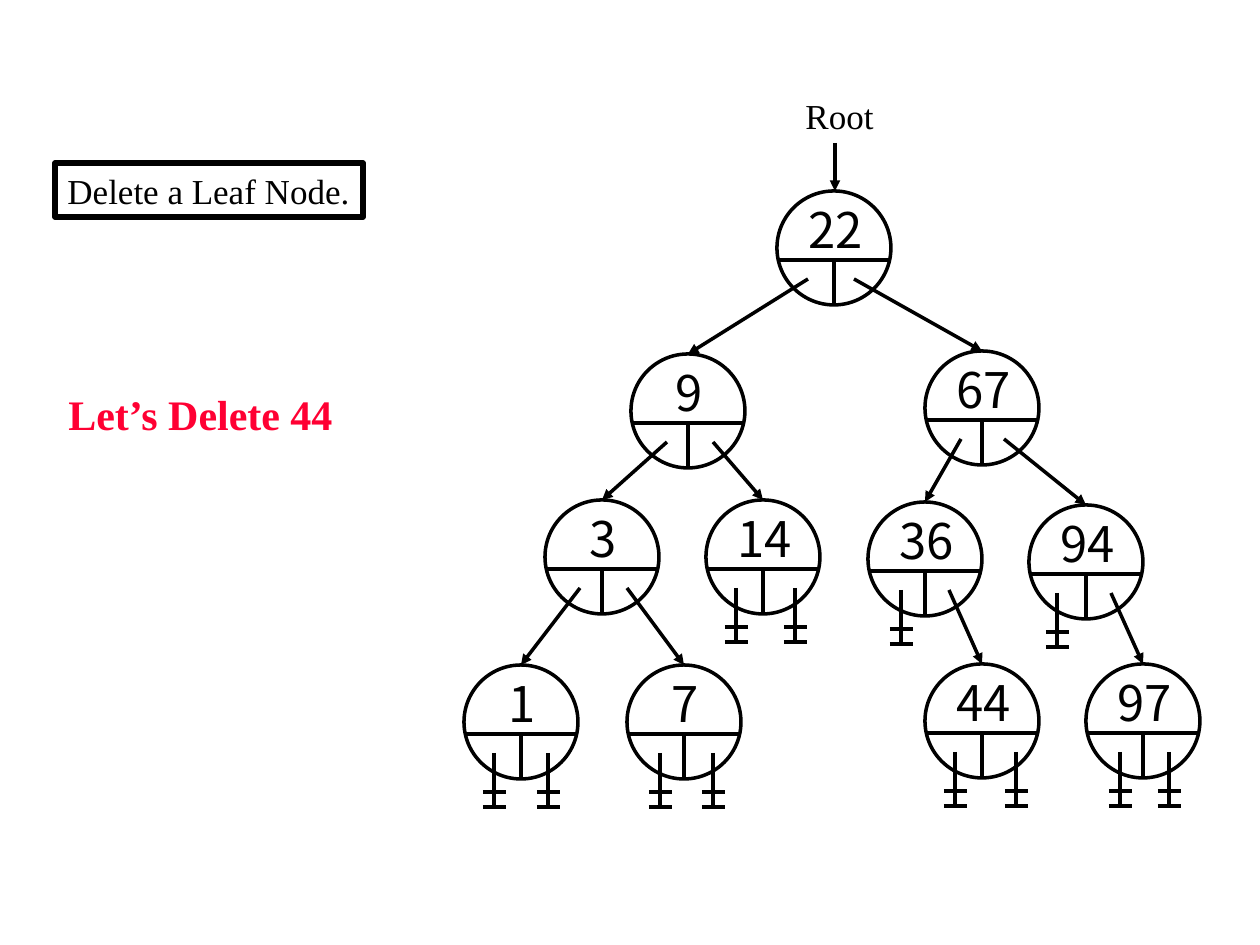
from typing import NamedTuple

from lxml.etree import SubElement
from pptx import Presentation
from pptx.dml.color import RGBColor
from pptx.enum.shapes import MSO_CONNECTOR as CONN, MSO_SHAPE as SHAPE
from pptx.enum.text import MSO_ANCHOR as ANCHOR, PP_ALIGN as ALIGN
from pptx.oxml.ns import qn
from pptx.util import Emu, Pt

PX = 914400 / 126
BLACK, RED = "000000", "FF0033"
SERIF, SANS = "Times New Roman", "Noto Sans CJK KR"
DIAMETER, DIVIDER, PORT_Y = 114, 69, 88


class Node(NamedTuple):
    """Position, children (None for a null link) and link start offsets."""
    x: int
    y: int
    left: int | None
    right: int | None
    left_port: int
    right_port: int


TREE = {
    22: Node(313, 103, 9, 67, 31, 77),
    9: Node(167, 266, 3, 14, 36, 82),
    67: Node(461, 263, 36, 94, 36, 79),
    3: Node(81, 412, 1, 7, 35, 82),
    14: Node(242, 412, None, None, 30, 89),
    36: Node(404, 414, None, 44, 33, 81),
    94: Node(565, 417, None, 97, 28, 82),
    1: Node(0, 577, None, None, 30, 84),
    7: Node(163, 577, None, None, 33, 86),
    44: Node(461, 576, None, None, 30, 91),
    97: Node(622, 576, None, None, 34, 83),
}


def px(*values):
    """Turn pixel lengths into EMU."""
    return [Emu(round(v * PX)) for v in values]


def color(value):
    """Turn a hex string into a colour."""
    return RGBColor.from_string(value)


def line(shapes, x1, y1, x2, y2, arrow=False):
    """Draw a straight line, with an arrowhead at its end if wanted."""
    s = shapes.add_connector(CONN.STRAIGHT, *px(x1, y1, x2, y2))
    s.line.color.rgb = color(BLACK)
    s.line.width = Pt(2)
    if arrow:
        SubElement(s.line._get_or_add_ln(), qn("a:tailEnd"), type="triangle")
    SubElement(s._element.spPr, qn("a:effectLst"))


def outline(shapes, kind, x, y, w, h, width):
    """Draw an unfilled shape with a black outline."""
    s = shapes.add_shape(kind, *px(x, y, w, h))
    s.shadow.inherit = False
    s.fill.background()
    s.line.color.rgb = color(BLACK)
    s.line.width = Pt(width)
    return s


def write(s, text, size, face, fill=BLACK, bold=False, align=ALIGN.LEFT):
    """Put one unwrapped line of text into a shape."""
    tf = s.text_frame
    tf.word_wrap = False
    tf.vertical_anchor = ANCHOR.TOP
    p = tf.paragraphs[0]
    p.text = text
    p.alignment = align
    p.font.size = Pt(size)
    p.font.name = face
    p.font.bold = bold
    p.font.color.rgb = color(fill)
    return p


def label(shapes, x, y, w, h, *style, **options):
    """Add a text box."""
    write(shapes.add_textbox(*px(x, y, w, h)), *style, **options)


def node(slide, x, y, key):
    """Draw a tree node: a key above two link fields."""
    shapes = slide.shapes.add_group_shape().shapes
    middle = x + DIAMETER // 2
    outline(shapes, SHAPE.OVAL, x, y, DIAMETER, DIAMETER, 2)
    line(shapes, x, y + DIVIDER, x + DIAMETER, y + DIVIDER)
    line(shapes, middle, y + DIAMETER, middle, y + DIVIDER)
    label(shapes, x + 18, y + 2, 81, 72, str(key), 28, SANS, align=ALIGN.CENTER)


def null_link(slide, x, y):
    """Draw a null link: a stem crossed by two bars."""
    shapes = slide.shapes.add_group_shape().shapes
    line(shapes, x, y, x, y + 56)
    for bar in (39, 54):
        line(shapes, x - 11, y + bar, x + 12, y + bar)


def tree(slide, x, y):
    """Draw the search tree with its root pointer and links."""
    label(slide.shapes, x + 329, y, 93, 55, "Root", 20, SERIF)
    line(slide.shapes, x + 371, y + 55, x + 371, y + 103, arrow=True)
    for key, n in TREE.items():
        node(slide, x + n.x, y + n.y, key)
    for n in TREE.values():
        for child, port in ((n.left, n.left_port), (n.right, n.right_port)):
            start = x + n.x + port, y + n.y + PORT_Y
            if child is None:
                null_link(slide, *start)
            else:
                c = TREE[child]
                end = x + c.x + DIAMETER // 2, y + c.y
                line(slide.shapes, *start, *end, arrow=True)


def captions(slide, x, y):
    """Place the boxed title and the task below it."""
    box = outline(slide.shapes, SHAPE.RECTANGLE, x, y, 308, 54, 3)
    p = write(box, "Delete a Leaf Node.", 20, SERIF)
    p.space_before = Pt(5)
    label(slide.shapes, x + 1, y + 219, 291, 63,
          "Let’s Delete 44", 24, SERIF, RED, bold=True)


def main():
    """Build and save the slide."""
    prs = Presentation()
    prs.slide_width, prs.slide_height = px(1260, 945)
    slide = prs.slides.add_slide(prs.slide_layouts[6])
    captions(slide, 55, 163)
    tree(slide, 464, 88)
    prs.save("out.pptx")


if __name__ == "__main__":
    main()
